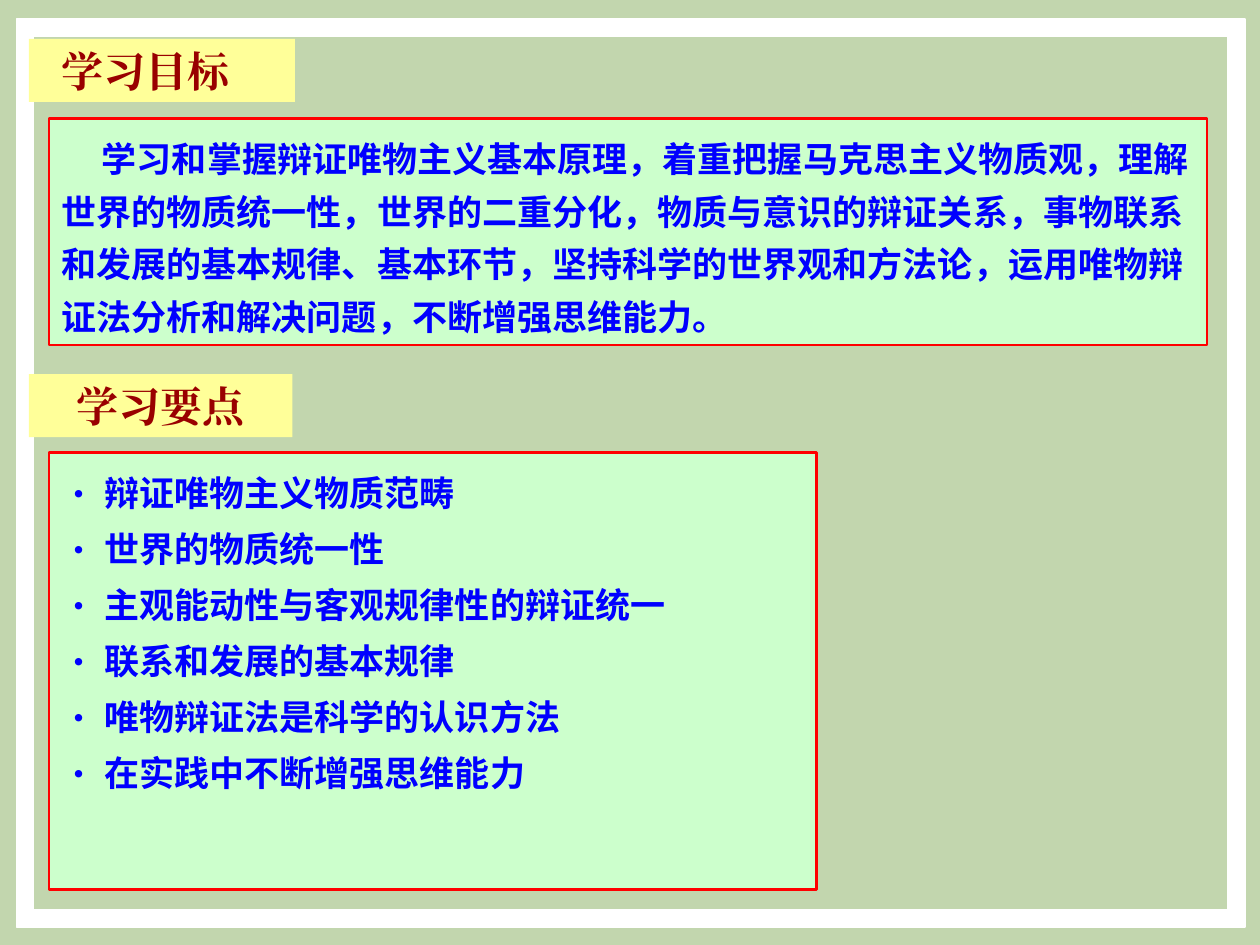
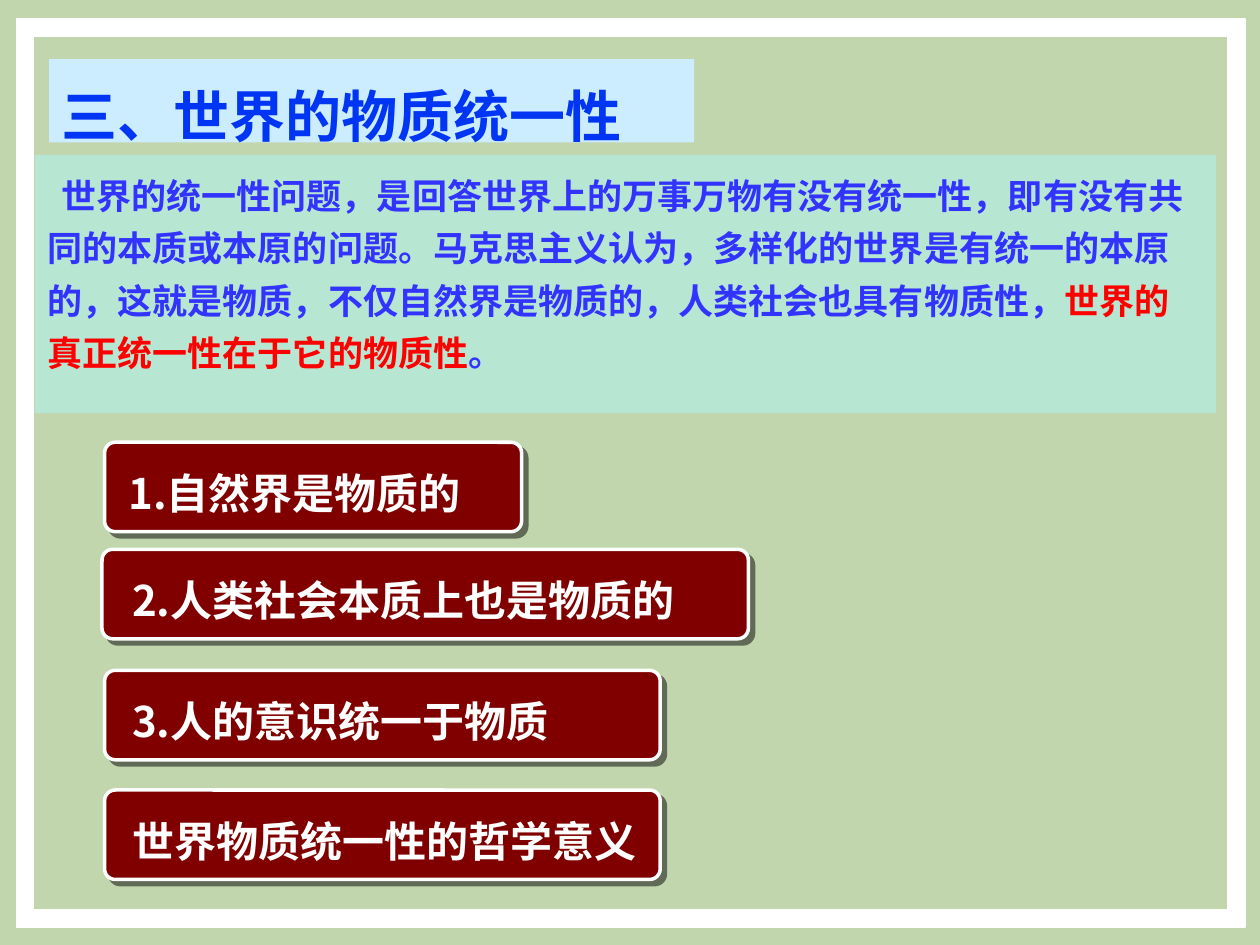
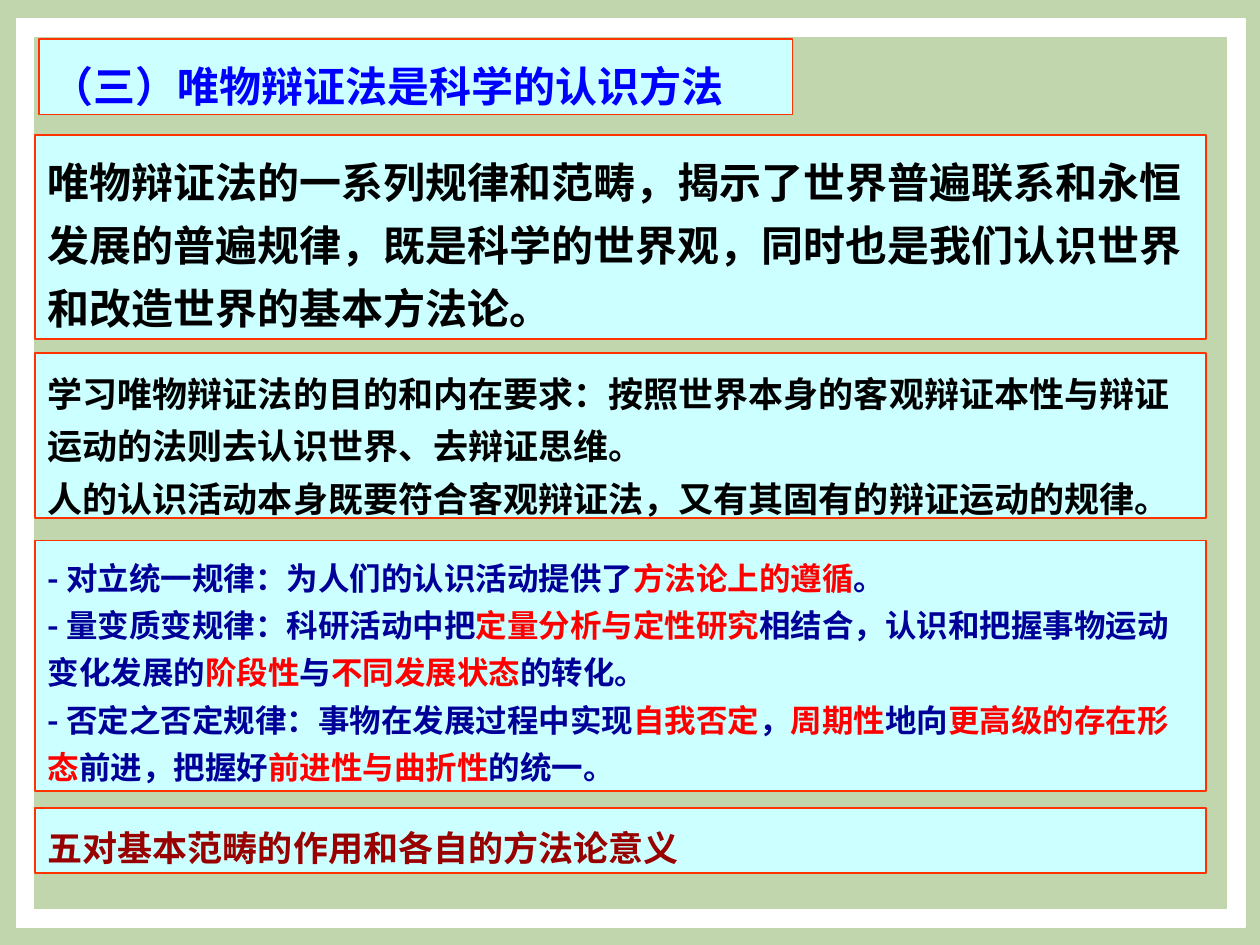
from lxml import etree
from pptx import Presentation
from pptx.dml.color import RGBColor
from pptx.enum.shapes import MSO_SHAPE
from pptx.enum.text import MSO_ANCHOR, PP_ALIGN
from pptx.oxml.ns import qn
from pptx.util import Pt

PX = 9144
RECT, ROUND, FRAME = MSO_SHAPE.RECTANGLE, MSO_SHAPE.ROUNDED_RECTANGLE, MSO_SHAPE.FRAME
TOP, MIDDLE = MSO_ANCHOR.TOP, MSO_ANCHOR.MIDDLE
LEFT, CENTER = PP_ALIGN.LEFT, PP_ALIGN.CENTER
SANS, SERIF = "Noto Sans CJK SC", "Times New Roman"

HUES = {
    "page": "C2D6AE", "white": "FFFFFF", "edge": "FEFEFE", "black": "000000",
    "tab": "FFFF99", "mint": "CCFFCC", "sky": "CCECFF", "teal": "B7E7D2",
    "cyan": "CCFFFF", "maroon": "800000", "wine": "990000", "red": "FF0000",
    "orange": "FF3300", "blue": "0000FF", "royal": "0035F4", "iris": "3333FF",
    "navy": "000099",
}

GOAL = ("学习和掌握辩证唯物主义基本原理，着重把握马克思主义物质观，理解世界的物质统一性，"
        "世界的二重分化，物质与意识的辩证关系，事物联系和发展的基本规律、基本环节，"
        "坚持科学的世界观和方法论，运用唯物辩证法分析和解决问题，不断增强思维能力。")
POINTS = [
    "辩证唯物主义物质范畴", "世界的物质统一性", "主观能动性与客观规律性的辩证统一",
    "联系和发展的基本规律", "唯物辩证法是科学的认识方法", "在实践中不断增强思维能力",
]
UNITY = [
    "世界的统一性问题，是回答世界上的万事万物有没有统一性，即有没有共同的本质或本原的问题。"
    "马克思主义认为，多样化的世界是有统一的本原的，这就是物质，不仅自然界是物质的，"
    "人类社会也具有物质性，",
    "世界的真正统一性在于它的物质性", "。",
]
CARDS = [
    ((83, 351, 331, 71), 9, "1.自然界是物质的"),
    ((81, 436, 513, 71), 14, "2.人类社会本质上也是物质的"),
    ((83, 532, 441, 71), 12, "3.人的意识统一于物质"),
    ((83, 627, 441, 71), 12, "世界物质统一性的哲学意义"),
]
METHOD = ("唯物辩证法的一系列规律和范畴，揭示了世界普遍联系和永恒发展的普遍规律，"
          "既是科学的世界观，同时也是我们认识世界和改造世界的基本方法论。")
AIMS = [
    "学习唯物辩证法的目的和内在要求：按照世界本身的客观辩证本性与辩证运动的法则去认识世界、去辩证思维。",
    "人的认识活动本身既要符合客观辩证法，又有其固有的辩证运动的规律。",
]
LAWS = [
    ["- 对立统一规律：为人们的认识活动提供了", "方法论上的遵循", "。"],
    ["- 量变质变规律：科研活动中把", "定量分析与定性研究",
     "相结合，认识和把握事物运动变化发展的", "阶段性", "与", "不同发展状态", "的转化。"],
    ["- 否定之否定规律：事物在发展过程中实现", "自我否定", "，", "周期性", "地向",
     "更高级的存在形态", "前进，把握好", "前进性与曲折性", "的统一。"],
]
PANELS = [
    (107, 162, 24, "black", [METHOD]),
    (280, 131, 20, "black", AIMS),
    (429, 199, 18, "navy", LAWS),
    (641, 52, 20, "wine", ["五对基本范畴的作用和各自的方法论意义"]),
]


def tint(name):
    return RGBColor.from_string(HUES[name])


def apply(item, values):
    for key, value in values.items():
        setattr(item, key, value)


def scale(box):
    return [value * PX for value in box]


def add_box(slide, box, fill, line=None, width=1, kind=RECT, bend=None):
    shape = slide.shapes.add_shape(kind, *scale(box))
    shape.shadow.inherit = False
    shape.fill.solid()
    shape.fill.fore_color.rgb = tint(fill)
    if line:
        shape.line.color.rgb = tint(line)
        shape.line.width = Pt(width)
    else:
        shape.line.fill.background()
    if bend is not None:
        shape.adjustments[0] = bend
    return shape


def add_run(para, text, size, hue, face):
    run = para.add_run()
    run.text = text
    apply(run.font, {"size": Pt(size), "bold": True, "name": face})
    run.font.color.rgb = tint(hue)
    props = run.font._element
    props.set("lang", "zh-CN")
    etree.SubElement(props, qn("a:ea"), typeface=face)


def add_dot(para, hang):
    props = para._p.get_or_add_pPr()
    props.set("marL", str(hang * PX))
    props.set("indent", str(-hang * PX))
    etree.SubElement(props, qn("a:buFont"), typeface=SANS)
    etree.SubElement(props, qn("a:buChar"), char="•")


def write(shape, paras, size, hue, face=SANS, lead=1.5, indent=0, hang=0,
          gap=0, align=LEFT, anchor=TOP, left=10, top=7):
    frame = shape.text_frame
    apply(frame, {"word_wrap": True, "vertical_anchor": anchor,
                  "margin_left": left * PX, "margin_right": 10 * PX,
                  "margin_top": top * PX, "margin_bottom": 5 * PX})
    for row, parts in enumerate(paras):
        para = frame.add_paragraph() if row else frame.paragraphs[0]
        para.alignment = align
        if lead:
            para.line_spacing = Pt(round(size * lead, 1))
        if gap and row:
            para.space_before = Pt(gap)
        if hang:
            add_dot(para, hang)
        elif indent:
            para._p.get_or_add_pPr().set("indent", str(indent * PX))
        if isinstance(parts, str):
            parts = [parts]
        for turn, text in enumerate(parts):
            add_run(para, text, size, "red" if turn % 2 else hue, face)


def add_page(deck):
    slide = deck.slides.add_slide(deck.slide_layouts[6])
    slide.background.fill.solid()
    slide.background.fill.fore_color.rgb = tint("page")
    add_box(slide, (13, 15, 975, 721), "white", "white", kind=FRAME, bend=0.019)
    return slide


def add_tab(slide, box, text, **style):
    write(add_box(slide, box, "tab"), [text], 24, "wine", face=SERIF,
          lead=None, anchor=MIDDLE, top=5, **style)


def add_card(slide, box, inset, text):
    x, y, w, h = box
    card = add_box(slide, box, "maroon", "edge", 2, ROUND, 0.119)
    effects = card._element.spPr.find(qn("a:effectLst"))
    shade = etree.SubElement(effects, qn("a:outerShdw"), blurRad="0",
                             dist=str(Pt(4.2)), dir="2700000", algn="ctr", rotWithShape="0")
    color = etree.SubElement(shade, qn("a:srgbClr"), val=HUES["black"])
    etree.SubElement(color, qn("a:alpha"), val="50000")
    label = slide.shapes.add_textbox(*scale((x + inset, y + 3, w - inset, 61)))
    write(label, [text], 24, "white")


def draw_goals(deck):
    slide = add_page(deck)
    add_tab(slide, (23, 31, 211, 50), "学习目标", left=26)
    write(add_box(slide, (39, 94, 919, 180), "mint", "red", 1.5),
          [GOAL], 20, "blue", indent=32)
    add_tab(slide, (23, 297, 209, 50), "学习要点", align=CENTER)
    write(add_box(slide, (39, 359, 609, 347), "mint", "red", 1.5),
          POINTS, 20, "blue", hang=34, gap=2)


def draw_unity(deck):
    slide = add_page(deck)
    write(add_box(slide, (39, 47, 512, 66), "sky"),
          ["三、世界的物质统一性"], 32, "royal", lead=1.44)
    write(add_box(slide, (28, 123, 937, 205), "teal"),
          [UNITY], 20, "iris", indent=11)
    for box, inset, text in CARDS:
        add_card(slide, box, inset, text)


def draw_method(deck):
    slide = add_page(deck)
    write(add_box(slide, (31, 31, 598, 60), "cyan", "orange"),
          ["（三）唯物辩证法是科学的认识方法"], 24, "blue")
    for y, h, size, hue, paras in PANELS:
        write(add_box(slide, (28, y, 929, h), "cyan", "orange"), paras, size, hue)


def main():
    deck = Presentation()
    apply(deck, {"slide_width": 1000 * PX, "slide_height": 750 * PX})
    for draw in (draw_goals, draw_unity, draw_method):
        draw(deck)
    deck.save("out.pptx")


if __name__ == "__main__":
    main()
